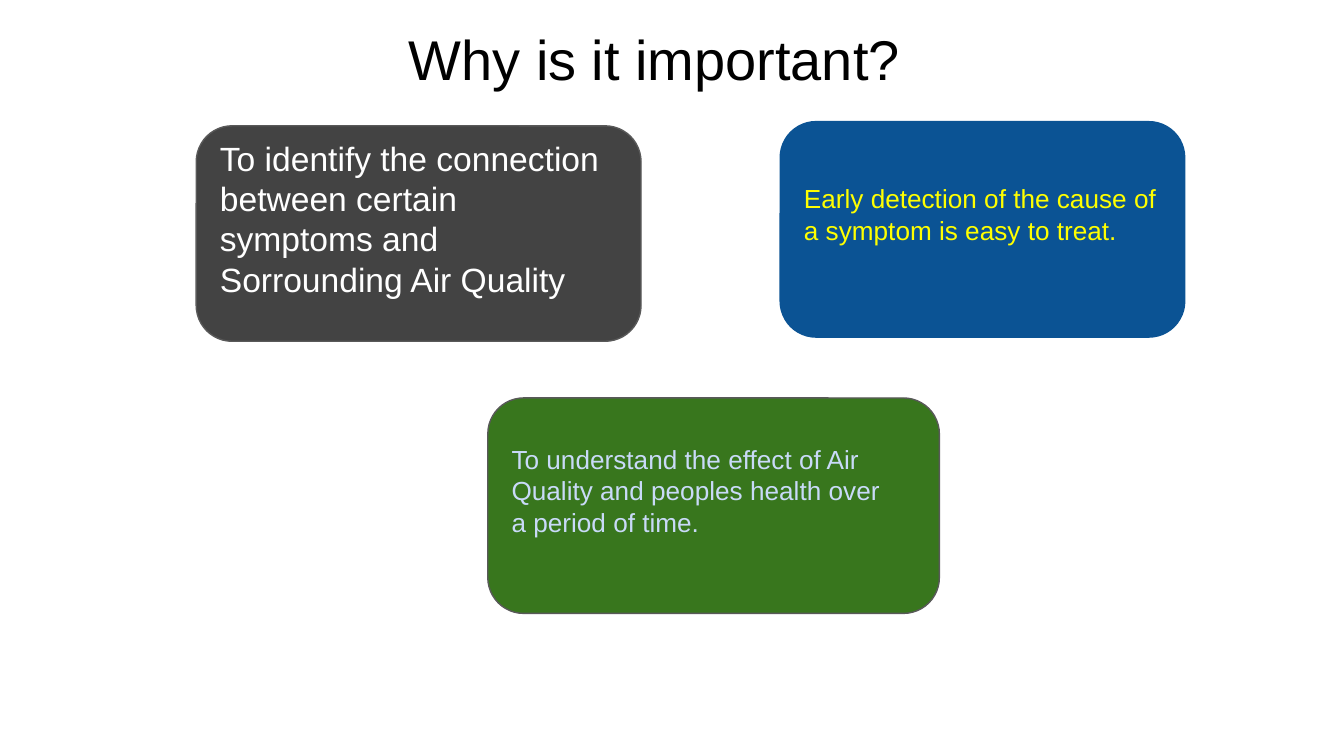
"""Build the slide that tells why the air quality study is important."""
from dataclasses import dataclass

from pptx import Presentation
from pptx.dml.color import RGBColor
from pptx.enum.shapes import MSO_SHAPE
from pptx.enum.text import MSO_ANCHOR, MSO_AUTO_SIZE, PP_ALIGN
from pptx.util import Inches, Pt

CARD = MSO_SHAPE.FLOWCHART_ALTERNATE_PROCESS
LEFT, CENTER = PP_ALIGN.LEFT, PP_ALIGN.CENTER
MIDDLE, BOTTOM = MSO_ANCHOR.MIDDLE, MSO_ANCHOR.BOTTOM
NO_FIT = MSO_AUTO_SIZE.NONE
WIDTH = Inches(10)
HEIGHT = WIDTH * 9 // 16
PAD, FOOT = 0.1, 0.33


@dataclass(frozen=True)
class Theme:
    font: str = "Arial"
    black: str = "000000"
    white: str = "FFFFFF"
    gray: str = "434343"
    edge: str = "595959"
    blue: str = "0B5394"
    yellow: str = "FFFF00"
    green: str = "38761D"
    pale: str = "C9DAF8"
    title: int = 30
    large: int = 18
    small: int = 14
    rule: float = 0.75


@dataclass(frozen=True)
class Area:
    """Place and size in percent of the slide."""
    left: float
    top: float
    width: float
    height: float = 28.5

    def place(self, shape) -> None:
        shape.left = round(WIDTH * self.left / 100)
        shape.top = round(HEIGHT * self.top / 100)
        shape.width = round(WIDTH * self.width / 100)
        shape.height = round(HEIGHT * self.height / 100)


@dataclass(frozen=True)
class Card:
    area: Area
    lines: tuple[str, ...]
    fill: str
    edge: str
    color: str
    size: int


THEME = Theme()
HEAD = Area(2.1, 3.1, 93.2, 10.8)
CARDS = (
    Card(Area(14.6, 16.65, 33.1),
         ("To identify the connection between certain symptoms and "
          "Sorrounding Air Quality",),
         THEME.gray, THEME.edge, THEME.white, THEME.large),
    Card(Area(58.05, 16.1, 30.1),
         ("Early detection of the cause of a symptom is easy to treat.",),
         THEME.blue, THEME.blue, THEME.yellow, THEME.small),
    Card(Area(36.3, 52.65, 33.6),
         ("To understand the effect of Air Quality and peoples health over",
          "a period of time."),
         THEME.green, THEME.edge, THEME.pale, THEME.small),
)


def write(shape, *lines: str, size: int, color: str, align=LEFT,
          anchor=MIDDLE, foot: float = PAD) -> None:
    frame = shape.text_frame
    frame.word_wrap = True
    frame.auto_size = NO_FIT
    frame.vertical_anchor = anchor
    frame.margin_left = frame.margin_right = frame.margin_top = Inches(PAD)
    frame.margin_bottom = Inches(foot)
    frame.text = "\n".join(lines)
    for para in frame.paragraphs:
        para.alignment = align
        font = para.runs[0].font
        font.name = THEME.font
        font.size = Pt(size)
        font.color.rgb = RGBColor.from_string(color)


def draw(slide, card: Card) -> None:
    shape = slide.shapes.add_shape(CARD, 0, 0, 0, 0)
    card.area.place(shape)
    shape.shadow.inherit = False
    shape.fill.solid()
    shape.fill.fore_color.rgb = RGBColor.from_string(card.fill)
    shape.line.color.rgb = RGBColor.from_string(card.edge)
    shape.line.width = Pt(THEME.rule)
    write(shape, *card.lines, size=card.size, color=card.color, foot=FOOT)


def main() -> None:
    deck = Presentation()
    deck.slide_width, deck.slide_height = WIDTH, HEIGHT
    slide = deck.slides.add_slide(deck.slide_layouts[5])
    title = slide.shapes.title
    HEAD.place(title)
    write(title, "Why is it important?", size=THEME.title,
          color=THEME.black, align=CENTER, anchor=BOTTOM)
    for card in CARDS:
        draw(slide, card)
    deck.save("out.pptx")


if __name__ == "__main__":
    main()
